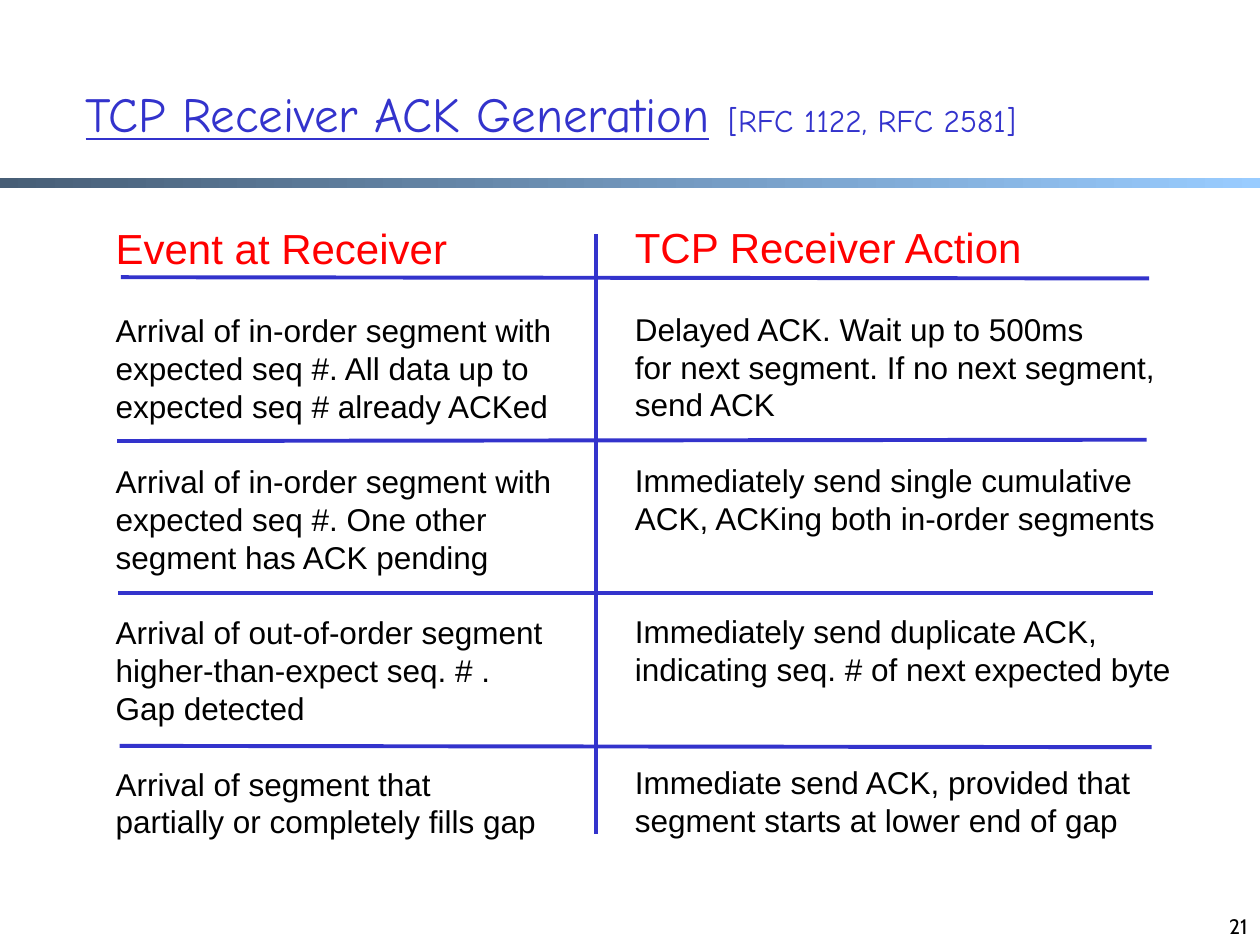
from lxml import etree
from pptx import Presentation
from pptx import util as u
from pptx.dml import color
from pptx.enum import shapes, text
from pptx.oxml import ns

Inches, Pt = u.Inches, u.Pt
COLORS = {"blue": "3333CC", "red": "FF0000", "black": "000000",
          "bar_dark": "475E76", "bar_light": "99CCFF"}
LINE_PITCH = 1.2  # line height as a multiple of the text size

TITLE_SPANS = [
    ("TCP Receiver ACK Generation", dict(size=Pt(28), underline=True)),
    (" ", dict(size=Pt(32), underline=False)),
    ("[RFC 1122, RFC 2581]", dict(size=Pt(18), underline=False)),
]
EVENTS = [
    ["Arrival of in-order segment with", "expected seq #. All data up to",
     "expected seq # already ACKed"],
    ["Arrival of in-order segment with", "expected seq #. One other",
     "segment has ACK pending"],
    ["Arrival of out-of-order segment", "higher-than-expect seq. # .",
     "Gap detected"],
    ["Arrival of segment that", "partially or completely fills gap"],
]
ACTIONS = [
    ["Delayed ACK. Wait up to 500ms", "for next segment. If no next segment,",
     "send ACK"],
    ["Immediately send single cumulative",
     "ACK, ACKing both in-order segments"],
    ["Immediately send duplicate ACK,",
     "indicating seq. # of next expected byte"],
    ["Immediate send ACK, provided that",
     "segment starts at lower end of gap"],
]
ROW_LINES = 3  # text lines reserved for each row
RULES = [  # x1, y1, x2, y2
    (0.96, 2.2, 9.12, 2.21),
    (0.93, 3.5, 9.1, 3.49),
    (0.94, 4.71, 9.15, 4.71),
    (0.95, 5.92, 9.14, 5.93),
    (4.73, 1.86, 4.73, 6.62),
]


def rgb(name):
    return color.RGBColor.from_string(COLORS[name])


def add_span(para, words, ink, **formats):
    span = para.add_run()
    span.text = words
    span.font.color.rgb = rgb(ink)
    for name, value in formats.items():
        setattr(span.font, name, value)


def place(shape, box):
    for name, value in zip(("left", "top", "width", "height"), box):
        setattr(shape, name, Inches(value))


def add_title(page, box):
    title = page.shapes.title
    place(title, box)
    frame = title.text_frame
    frame.auto_size = text.MSO_AUTO_SIZE.NONE
    frame.vertical_anchor = text.MSO_ANCHOR.MIDDLE
    para = frame.paragraphs[0]
    para.alignment = text.PP_ALIGN.LEFT
    for words, formats in TITLE_SPANS:
        add_span(para, words, "blue", name="Comic Neue", **formats)


def add_bar(page, box):
    bar = page.shapes.add_shape(shapes.MSO_SHAPE.RECTANGLE, *map(Inches, box))
    bar.shadow.inherit = False
    bar.line.fill.background()
    bar.fill.gradient()
    bar.fill.gradient_angle = 0
    for stop, name in zip(bar.fill.gradient_stops, ("bar_dark", "bar_light")):
        stop.color.rgb = rgb(name)


def add_column(page, box, heading, rows):
    frame = page.shapes.add_textbox(*map(Inches, box)).text_frame
    frame.word_wrap = False

    def add_line(para, words, size, ink, lines_before=0):
        para.line_spacing = Pt(size * LINE_PITCH)
        if lines_before:
            para.space_before = Pt(lines_before * size * LINE_PITCH)
        add_span(para, words, ink, name="Arial", size=Pt(size))

    add_line(frame.paragraphs[0], heading, 24, "red")
    gap = 1
    for row in rows:
        for index, words in enumerate(row):
            add_line(frame.add_paragraph(), words, 18, "black",
                     0 if index else gap)
        # short rows leave their unused lines before the next row
        gap = 1 + ROW_LINES - len(row)


def add_rules(page):
    for ends in RULES:
        rule = page.shapes.add_connector(shapes.MSO_CONNECTOR.STRAIGHT,
                                         *map(Inches, ends))
        rule.line.color.rgb = rgb("blue")
        rule.line.width = Pt(2.25)
        etree.SubElement(rule._element.spPr, ns.qn("a:effectLst"))


def add_page_number(page, box, number):
    frame = page.shapes.add_textbox(*map(Inches, box)).text_frame
    frame.word_wrap = True
    frame.vertical_anchor = text.MSO_ANCHOR.BOTTOM
    para = frame.paragraphs[0]
    para.alignment = text.PP_ALIGN.RIGHT
    add_span(para, number, "black", name="Cabin", size=Pt(12))


def main():
    deck = Presentation()
    deck.slide_width, deck.slide_height = Inches(10), Inches(7.5)
    page = deck.slides.add_slide(deck.slide_layouts[5])

    # Heading
    add_bar(page, (0, 1.41, 10, 0.08))
    add_title(page, (0.58, 0.25, 8.5, 1.25))
    # Events and the actions they lead to
    add_column(page, (0.82, 1.72, 3.66, 5.47), "Event at Receiver", EVENTS)
    add_column(page, (4.94, 1.71, 4.45, 5.47), "TCP Receiver Action", ACTIONS)
    add_rules(page)
    # Footer
    add_page_number(page, (7.67, 7, 2.33, 0.5), "21")

    deck.save("out.pptx")


if __name__ == "__main__":
    main()
